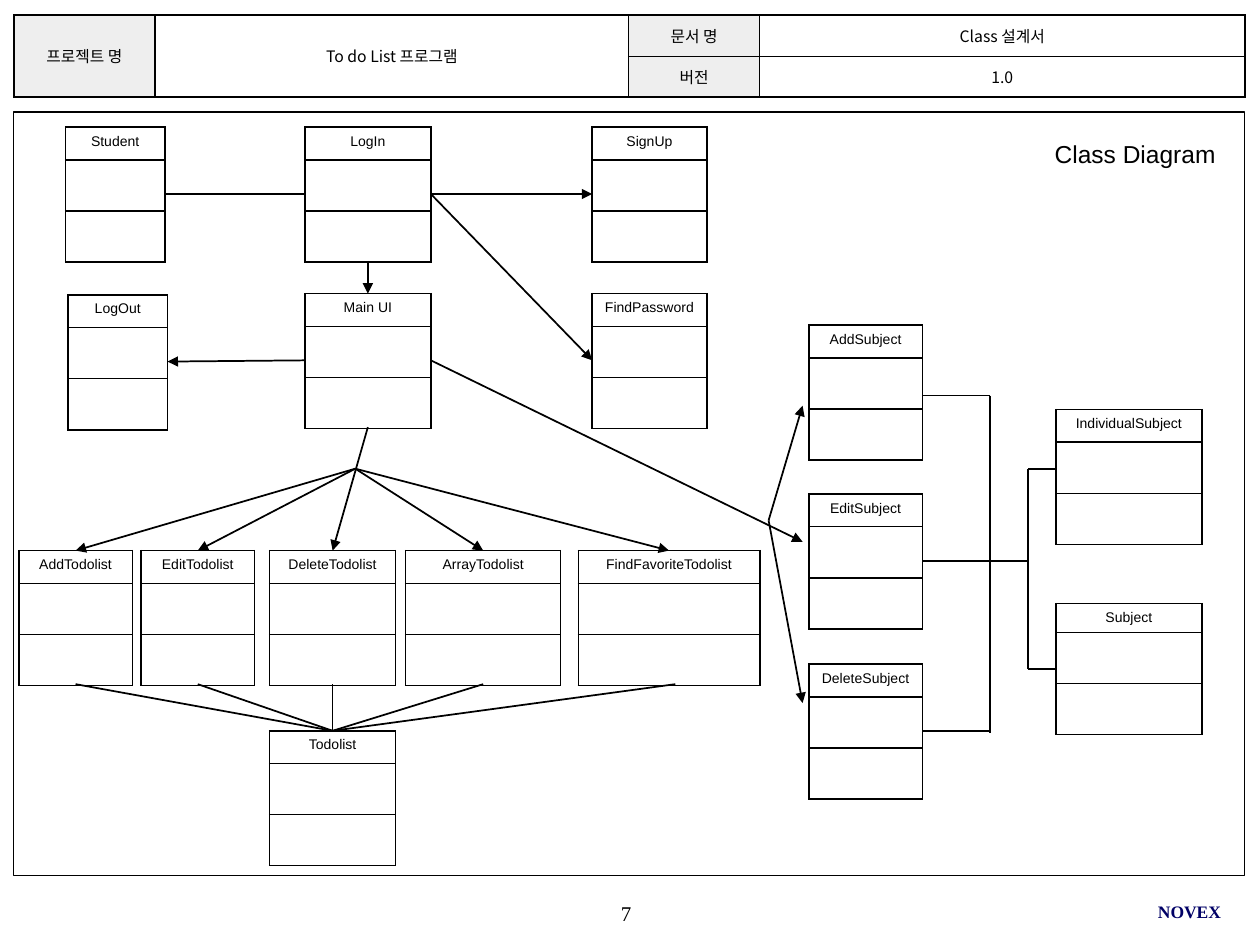
from lxml import etree
from pptx import Presentation
from pptx.dml.color import RGBColor
from pptx.enum.shapes import MSO_CONNECTOR, MSO_SHAPE
from pptx.enum.text import MSO_ANCHOR, MSO_AUTO_SIZE, PP_ALIGN
from pptx.oxml.ns import qn
from pptx.util import Inches, Pt

STRAIGHT, RECTANGLE = MSO_CONNECTOR.STRAIGHT, MSO_SHAPE.RECTANGLE
LEFT, CENTER, RIGHT = PP_ALIGN.LEFT, PP_ALIGN.CENTER, PP_ALIGN.RIGHT
MIDDLE, NO_AUTOFIT = MSO_ANCHOR.MIDDLE, MSO_AUTO_SIZE.NONE
BLACK, WHITE, GRAY, NAVY = "000000", "FFFFFF", "EEEEEE", "000066"
SANS, SERIF, KOREAN = "Arial", "Times New Roman", "Noto Sans CJK KR"
MARGIN, FRAME_WIDTH = 0.11, 9.77
CLASS_ROWS = (0.26, 0.38, 0.38)
CLASS_HEIGHT = 1.06
TODO_TOP = 4.37
CLASSES = {
    "Student": (0.52, 1.01, 0.79), "LogIn": (2.42, 1.01, 1), "SignUp": (4.7, 1.01, 0.91),
    "LogOut": (0.54, 2.34, 0.79), "Main UI": (2.42, 2.33, 1), "FindPassword": (4.7, 2.33, 0.91),
    "AddSubject": (6.42, 2.58, 0.9), "EditSubject": (6.42, 3.92, 0.9),
    "DeleteSubject": (6.42, 5.27, 0.9),
    "IndividualSubject": (8.38, 3.25, 1.16), "Subject": (8.38, 4.79, 1.16),
    "AddTodolist": (0.15, TODO_TOP, 0.9), "EditTodolist": (1.12, TODO_TOP, 0.9),
    "DeleteTodolist": (2.14, TODO_TOP, 1), "ArrayTodolist": (3.22, TODO_TOP, 1.23),
    "FindFavoriteTodolist": (4.59, TODO_TOP, 1.44), "Todolist": (2.14, 5.8, 1),
}
SIDES = {"left": (0, 0.5), "right": (1, 0.5), "top": (0.5, 0), "bottom": (0.5, 1)}


def color(value):
    """Turn a hex string into a colour."""
    return RGBColor.from_string(value)


def write(frame, text, font, size, align=CENTER, hex_color=BLACK, bold=False):
    """Put one formatted paragraph into a text frame."""
    frame.text = text
    para = frame.paragraphs[0]
    para.alignment = align
    para.font.size, para.font.name, para.font.bold = Pt(size), font, bold
    para.font.color.rgb = color(hex_color)
    defaults = para._p.pPr.find(qn("a:defRPr"))
    etree.SubElement(defaults, qn("a:ea"), typeface=font)


def add_label(page, area, text, align, size, hex_color=BLACK, bold=False):
    """Add a footer label without insets."""
    frame = page.shapes.add_textbox(*map(Inches, area)).text_frame
    frame.margin_left = frame.margin_right = frame.margin_top = frame.margin_bottom = 0
    frame.word_wrap, frame.vertical_anchor = True, MIDDLE
    write(frame, text, SERIF, size, align, hex_color, bold)


def style_cell(cell, fill):
    """Give a cell its fill and thin black borders."""
    cell.fill.solid()
    cell.fill.fore_color.rgb = color(fill)
    properties = cell._tc.get_or_add_tcPr()
    for index, edge in enumerate(("lnL", "lnR", "lnT", "lnB")):
        line = etree.Element(qn(f"a:{edge}"), w=str(Pt(1)))
        paint = etree.SubElement(line, qn("a:solidFill"))
        etree.SubElement(paint, qn("a:srgbClr"), val=BLACK)
        properties.insert(index, line)


def add_grid(page, left, top, widths, heights):
    """Add a bordered white table."""
    table = page.shapes.add_table(
        len(heights), len(widths), Inches(left), Inches(top),
        Inches(sum(widths)), Inches(sum(heights))).table
    table.first_row = table.horz_banding = False
    for column, width in zip(table.columns, widths):
        column.width = Inches(width)
    for row, height in zip(table.rows, heights):
        row.height = Inches(height)
    for cell in table.iter_cells():
        style_cell(cell, WHITE)
    return table


def add_header(page):
    """Add the document header table."""
    table = add_grid(page, MARGIN, 0.12, (1.12, 3.76, 1.04, 3.85), (0.33, 0.32))
    for column in (0, 1):
        table.cell(0, column).merge(table.cell(1, column))
    entries = {(0, 0): "프로젝트 명", (0, 1): "To do List 프로그램", (0, 2): "문서 명",
               (0, 3): "Class 설계서", (1, 2): "버전", (1, 3): "1.0"}
    for (row, column), text in entries.items():
        cell = table.cell(row, column)
        cell.margin_left = cell.margin_right = Inches(0.04)
        cell.margin_top = cell.margin_bottom = Inches(0.02)
        cell.vertical_anchor = MIDDLE
        write(cell.text_frame, text, KOREAN, 9)
        if column in (0, 2):
            cell.fill.fore_color.rgb = color(GRAY)


def add_class(page, name):
    """Add a class box with its name and two empty compartments."""
    left, top, width = CLASSES[name]
    heights = (0.23, *CLASS_ROWS[1:]) if name == "Subject" else CLASS_ROWS
    table = add_grid(page, left, top, (width,), heights)
    write(table.cell(0, 0).text_frame, name, SANS, 8)


def anchor(name, side):
    """Return the middle of one side of a class box."""
    left, top, width = CLASSES[name]
    across, down = SIDES[side]
    return left + across * width, top + down * CLASS_HEIGHT


def add_link(page, start, end, arrow=False):
    """Connect two points, with an arrowhead at the end on request."""
    link = page.shapes.add_connector(STRAIGHT, *map(Inches, (*start, *end)))
    link.line.color.rgb, link.line.width = color(BLACK), Pt(1)
    if arrow:
        etree.SubElement(link.line._get_or_add_ln(), qn("a:tailEnd"), type="triangle")
    etree.SubElement(link._element.spPr, qn("a:effectLst"))


def add_login_links(page):
    """Link the login and main classes."""
    add_link(page, anchor("Student", "right"), anchor("LogIn", "left"))
    for source, side, target, target_side in (
            ("LogIn", "bottom", "Main UI", "top"), ("LogIn", "right", "SignUp", "left"),
            ("LogIn", "right", "FindPassword", "left"), ("Main UI", "left", "LogOut", "right")):
        add_link(page, anchor(source, side), anchor(target, target_side), True)


def add_todo_links(page):
    """Fan out to the to-do actions and gather them at the list."""
    hub, goal = (2.82, 3.72), anchor("Todolist", "top")
    for name in [name for name, area in CLASSES.items() if area[1] == TODO_TOP]:
        start = anchor("Main UI", "bottom") if name == "DeleteTodolist" else hub
        add_link(page, start, anchor(name, "top"), True)
        foot = (5.36, 5.43) if name == "FindFavoriteTodolist" else anchor(name, "bottom")
        add_link(page, foot, goal)


def add_subject_links(page):
    """Link the subject actions to the subject classes."""
    fork, tip, trunk, branch, middle = (6.1, 4.13), 6.37, 7.86, 8.16, 4.45
    add_link(page, anchor("Main UI", "right"), (tip, 4.3), True)
    for y in (3.22, 5.58):
        add_link(page, fork, (tip, y), True)
    for y in (3.14, middle, 5.8):
        add_link(page, (7.32, y), (trunk, y))
    add_link(page, (trunk, 3.14), (trunk, 5.82))
    add_link(page, (trunk, middle), (branch, middle))
    add_link(page, (branch, 5.31), (branch, 3.72))
    for y in (3.72, 5.31):
        add_link(page, (branch, y), (8.38, y))


def add_title(page, text):
    """Place and format the title."""
    title = page.shapes.title
    title.left, title.top, title.width, title.height = map(Inches, (8.27, 1.05, 1.58, 0.34))
    title.text_frame.auto_size = NO_AUTOFIT
    title.text_frame.vertical_anchor = MIDDLE
    write(title.text_frame, text, SANS, 14, LEFT)


def add_frame(page):
    """Outline the drawing area."""
    frame = page.shapes.add_shape(
        RECTANGLE, *map(Inches, (MARGIN, 0.89, FRAME_WIDTH, 6.06)))
    frame.shadow.inherit = False
    frame.fill.background()
    frame.line.color.rgb, frame.line.width = color(BLACK), Pt(0.75)


def main():
    """Build the class diagram slide."""
    deck = Presentation()
    deck.slide_width, deck.slide_height = Inches(10), Inches(7.5)
    page = deck.slides.add_slide(deck.slide_layouts[5])
    add_title(page, "Class Diagram")
    add_header(page)
    add_frame(page)
    for name in CLASSES:
        add_class(page, name)
    add_login_links(page)
    add_todo_links(page)
    add_subject_links(page)
    add_label(page, (3.93, 7.08, 2.08, 0.33), "7", CENTER, 12)
    add_label(page, (6.63, 7.07, 3.06, 0.33), "NOVEX", RIGHT, 10, NAVY, True)
    deck.save("out.pptx")


main()
